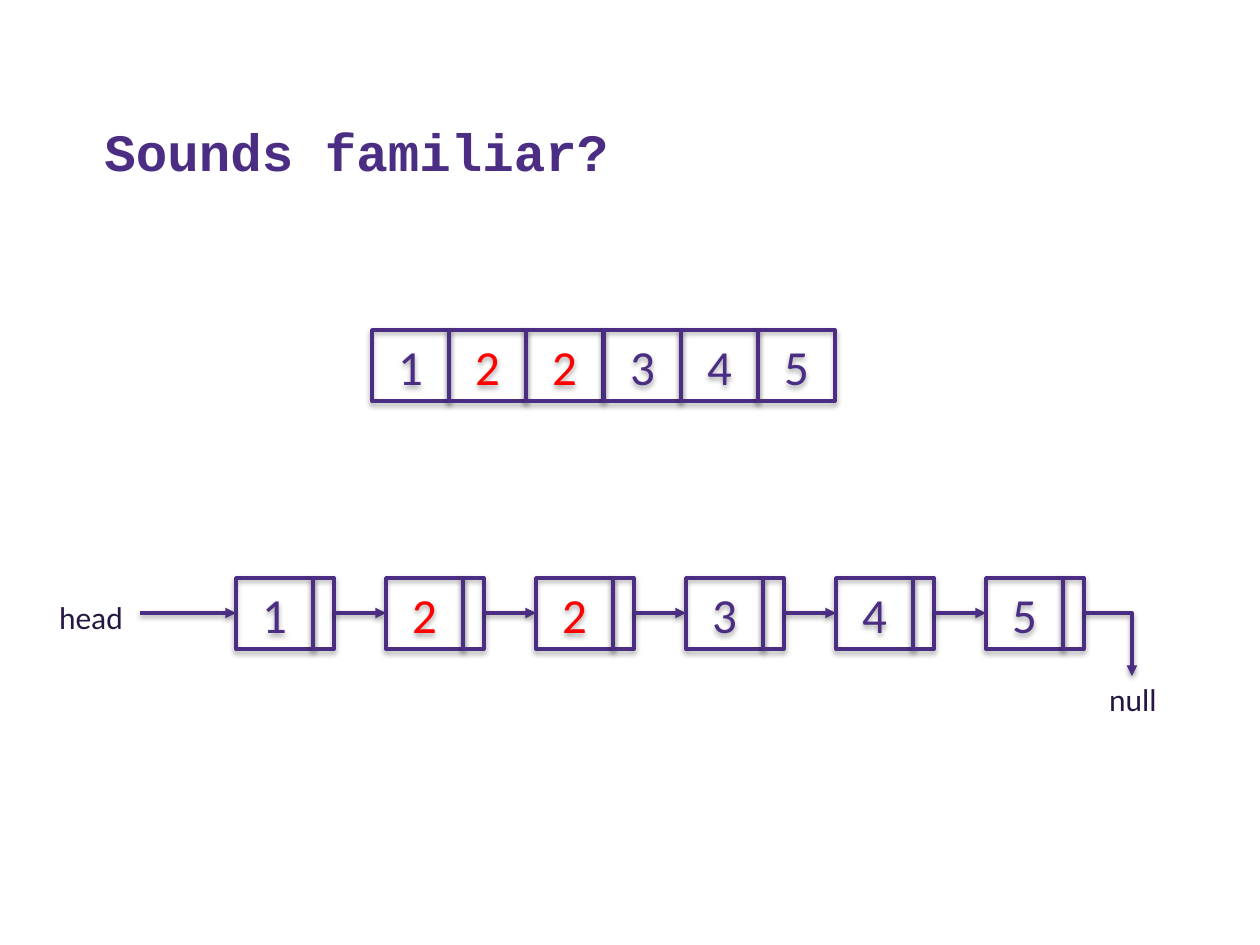
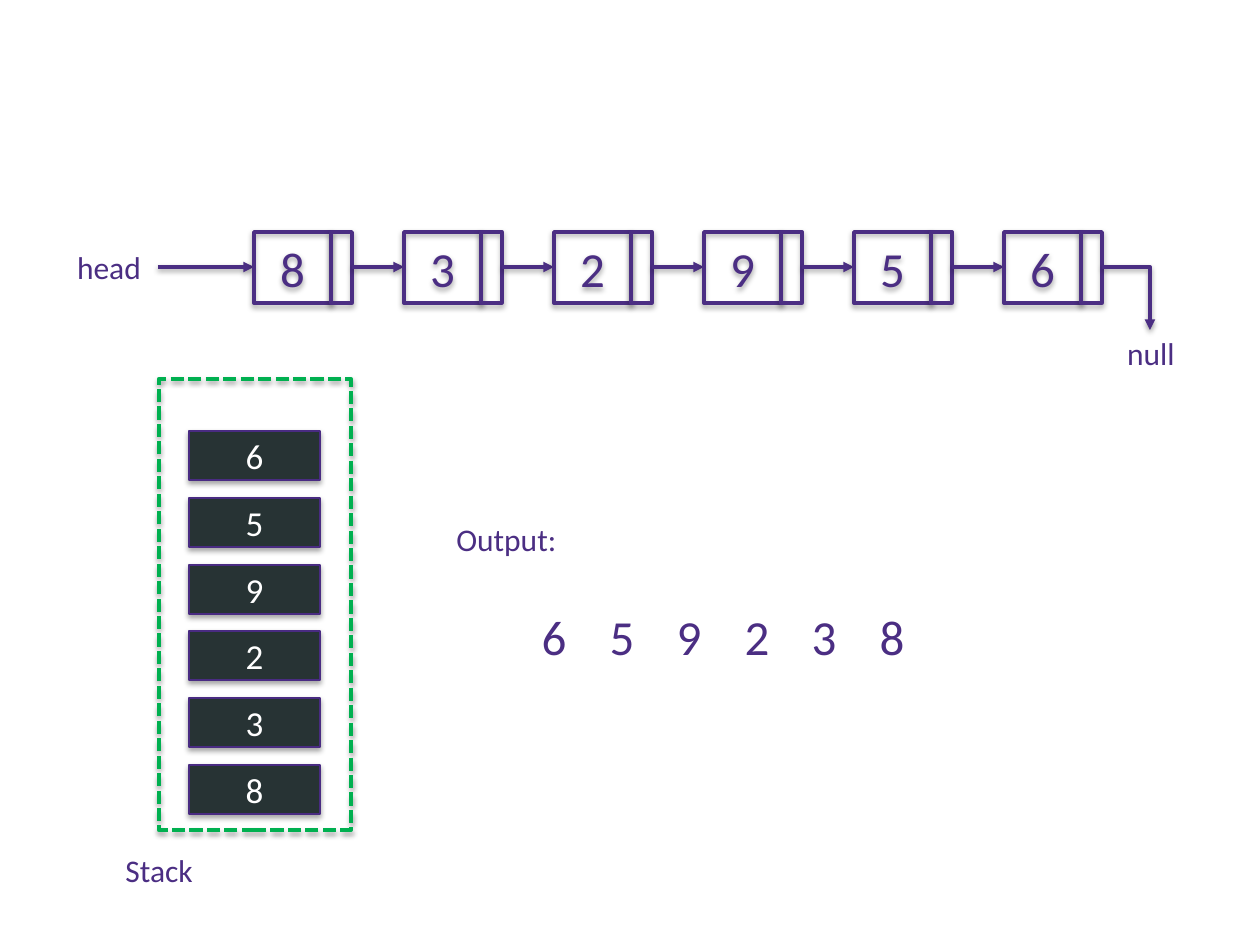
from dataclasses import dataclass

from lxml import etree
from pptx import Presentation
from pptx import util as u
from pptx.dml.color import RGBColor
from pptx.enum import dml, shapes, text
from pptx.oxml import ns

SCALE = 914400 / 126
SIZE = (1260, 945)


@dataclass(frozen=True)
class Theme:
    main: str = "4B2E83"
    ink: str = "261742"
    hot: str = "FF0000"
    frame: str = "00B050"
    tile: str = "273334"
    edge: str = "492B82"
    white: str = "FFFFFF"
    body: str = "Calibri"
    mono: str = "Courier New"
    title: int = 30
    digit: int = 28
    item: int = 20
    label: int = 18


T = Theme()
LEFT, MID = text.PP_ALIGN.LEFT, text.PP_ALIGN.CENTER
BOX_H, VAL_W, NEXT_W, STEP = 71, 77, 21, 150


def px(*nums):
    return [u.Emu(round(n * SCALE)) for n in nums]


def spread(first, last, count):
    return [round(first + (last - first) * i / (count - 1)) for i in range(count)]


def assign(obj, values):
    for key, value in values.items():
        setattr(obj, key, value)


def shade(item, dist, alpha):
    root = etree.SubElement(item.element.spPr, ns.qn("a:effectLst"))
    cast = etree.SubElement(root, ns.qn("a:outerShdw"), blurRad="40000",
                            dist=str(dist), dir="5400000", rotWithShape="0")
    tone = etree.SubElement(cast, ns.qn("a:srgbClr"), val="000000")
    etree.SubElement(tone, ns.qn("a:alpha"), val=str(alpha * 1000))


def stroke(item, color, width):
    item.line.color.rgb = RGBColor.from_string(color)
    item.line.width = u.Pt(width)


def write(item, words, size, color, align=MID, font=T.body, bold=False, **frame):
    assign(item.text_frame, frame)
    para = item.text_frame.paragraphs[0]
    para.alignment = align
    run = para.add_run()
    run.text = words
    assign(run.font, {"name": font, "size": u.Pt(size), "bold": bold})
    run.font.color.rgb = RGBColor.from_string(color)


def label(slide, place, words, size=T.label, color=T.main, **style):
    item = slide.shapes.add_textbox(*px(*place))
    write(item, words, size, color, **style)


def box(slide, place, words="", size=T.digit, color=T.main, fill=None,
        edge=T.main, width=2, dash=None):
    item = slide.shapes.add_shape(shapes.MSO_SHAPE.RECTANGLE, *px(*place))
    if fill:
        item.fill.solid()
        item.fill.fore_color.rgb = RGBColor.from_string(fill)
    else:
        item.fill.background()
    stroke(item, edge, width)
    if dash:
        item.line.dash_style = dash
    shade(item, 23000, 35)
    if words:
        write(item, words, size, color,
              vertical_anchor=text.MSO_ANCHOR.MIDDLE, word_wrap=True)


def arrow(slide, start, end, bent=False):
    kind = shapes.MSO_CONNECTOR.ELBOW if bent else shapes.MSO_CONNECTOR.STRAIGHT
    item = slide.shapes.add_connector(kind, *px(*start, *end))
    if bent:
        item.element.spPr.find(ns.qn("a:prstGeom")).set("prst", "bentConnector2")
    stroke(item, T.main, 2)
    etree.SubElement(item.line._get_or_add_ln(), ns.qn("a:tailEnd"), type="triangle")
    shade(item, 20000, 38)


def chain(slide, left, top, digits, tint, drop, hot=""):
    axis = top + BOX_H // 2
    label(slide, (left - 194, top + drop, 98, 50), "head", color=tint)
    arrow(slide, (left - 96, axis), (left, axis))
    for i, digit in enumerate(digits):
        x = left + i * STEP
        end = x + VAL_W + NEXT_W
        box(slide, (x, top, VAL_W, BOX_H), digit, color=T.hot if digit in hot else T.main)
        box(slide, (x + VAL_W, top, NEXT_W, BOX_H))
        if i < len(digits) - 1:
            arrow(slide, (end, axis), (x + STEP, axis))
    arrow(slide, (end, axis), (end + 48, axis + 63), bent=True)
    label(slide, (end, top + 96, 98, 50), "null", color=tint)


def array(slide, digits, hot):
    for x, digit in zip(spread(372, 758, len(digits)), digits):
        box(slide, (x, 330, VAL_W, BOX_H), digit, color=T.hot if digit in hot else T.main)


def stack(slide, digits):
    box(slide, (159, 379, 192, 451), edge=T.frame, width=2.5,
        dash=dml.MSO_LINE.SQUARE_DOT)
    for y, digit in zip(spread(431, 765, len(digits)), digits):
        box(slide, (189, y, 131, 49), digit, T.item, T.white, T.tile, T.edge, 0.75)
    label(slide, (113, 845, 93, 50), "Stack", align=LEFT)


def output(slide, digits):
    label(slide, (444, 514, 126, 50), "Output:", align=LEFT)
    for x, digit in zip(spread(529, 867, len(digits)), digits):
        label(slide, (x, 600, 50, 72), digit, T.digit)


def main():
    deck = Presentation()
    deck.slide_width, deck.slide_height = px(*SIZE)
    blank = deck.slide_layouts[6]

    slide = deck.slides.add_slide(blank)
    label(slide, (92, 52, 1128, 136), "Sounds familiar?", T.title, align=LEFT,
          font=T.mono, bold=True, word_wrap=True,
          vertical_anchor=text.MSO_ANCHOR.BOTTOM)
    array(slide, "122345", "2")
    chain(slide, 236, 578, "122345", T.ink, 14, "2")

    slide = deck.slides.add_slide(blank)
    digits = "832956"
    chain(slide, 254, 232, digits, T.main, 10)
    stack(slide, digits[::-1])
    output(slide, digits[::-1])

    deck.save("out.pptx")


if __name__ == "__main__":
    main()
